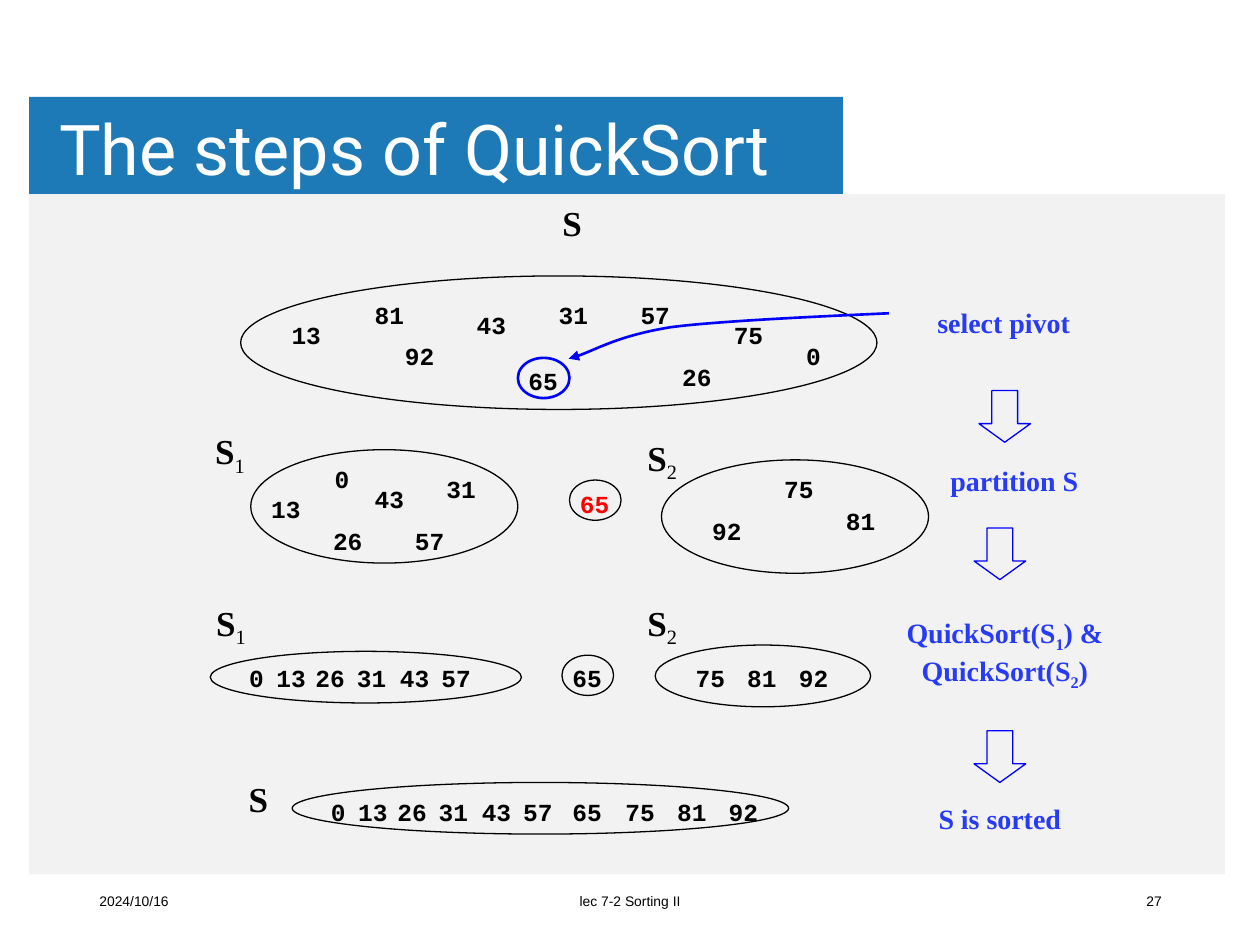
"""Build the slide on the steps of QuickSort."""
from lxml import etree
from pptx import Presentation
from pptx import util as u
from pptx.dml.color import RGBColor
from pptx.enum import shapes, text
from pptx.oxml import ns

COLORS = {"banner": "1E7AB6", "panel": "F2F2F2", "white": "FFFFFF", "ink": "000000",
          "pivot": "FF0000", "step": "263AF8", "pointer": "0000FF"}

TITLE = "The steps of QuickSort"
FOOTERS = [("2024/10/16", 49.7, 162, "LEFT"), ("lec 7-2 Sorting II", 238.3, 243.4, "CENTER"),
           ("27", 509, 162, "RIGHT")]

UNSORTED = [("13", 175, 191.5), ("81", 222.5, 180), ("92", 239.8, 203), ("43", 280.8, 185.8),
            ("65", 310.3, 217.4), ("31", 327.6, 180), ("57", 374.4, 180), ("26", 398.2, 215.3),
            ("75", 427.7, 191.5), ("0", 464.8, 203)]
PARTITIONED = [("13", 163.4, 290.9), ("43", 222.5, 285.1), ("31", 263.5, 279.4),
               ("57", 245.5, 308.9), ("26", 198.7, 308.9), ("0", 195.5, 273.6),
               ("75", 456.5, 279.4), ("81", 491.8, 297.4), ("92", 415.4, 303.1)]
PARTITION_PIVOT = ("65", 339.8, 288)

LOW = [("0", 0), ("13", 19.8), ("26", 42.2), ("31", 65.8), ("43", 90.4), ("57", 114.1)]
PIVOT = [("65", 0)]
HIGH = [("75", 0), ("81", 29.5), ("92", 59)]
SORTED_RUNS = [(LOW, 146.5, 387.4), (PIVOT, 335.5, 387.4), (HIGH, 405.9, 387.4),
               (LOW, 193.3, 463.7), (PIVOT, 335.5, 463.7), (HIGH, 365.8, 463.7)]

SETS = [(137.5, 157.7, 363.6, 76.3), (143.3, 257, 152.6, 64.8), (378, 262.8, 152.6, 64.8),
        (120.2, 372.2, 177.8, 29.5), (374.4, 368.6, 123.1, 35.3), (167, 447.1, 283.7, 29.5)]
PIVOT_SIZE = (29.5, 23)
PIVOT_RINGS = [(325.4, 274.3), (321.1, 374.4)]
CHOSEN_RING = (295.9, 204.5)

SET_NAMES = [("S", 326.9, 127.4), ("S_1", 131.4, 259.2), ("S_2", 378.4, 262.8),
             ("S_1", 132, 357.1), ("S_2", 378.4, 357.1), ("S", 147.6, 456.5)]
STEPS = [("select pivot", 573.5, 184), ("partition S", 579.6, 274.7),
         ("QuickSort(S_1_) &\nQuickSort(S_2_)", 574.2, 373.7), ("S is sorted", 571.3, 467.6)]
STEP_ARROWS = [(559.4, 223.2), (556.6, 301.7), (556.6, 417.6)]
POINTER = [(507.6, 179.3), (486.7, 180), (413.3, 182.9), (383, 187.2),
           (352.8, 191.5), (337, 201.6), (324.7, 205.2)]

deck = Presentation()
deck.slide_width, deck.slide_height = u.Pt(720), u.Pt(540)
slide = deck.slides.add_slide(deck.slide_layouts[6])


def rgb(name):
    return RGBColor.from_string(COLORS[name])


def style(part, fill=None, line=None, weight=0.75):
    part.shadow.inherit = False
    if fill:
        part.fill.solid()
        part.fill.fore_color.rgb = rgb(fill)
    else:
        part.fill.background()
    if line:
        part.line.color.rgb = rgb(line)
        part.line.width = u.Pt(weight)
    else:
        part.line.fill.background()


def add_part(preset, left, top, width, height, **look):
    part = slide.shapes.add_shape(preset, *map(u.Pt, (left, top, width, height)))
    style(part, **look)
    return part


def write(words, left, top, width, height, *, size, font, color="ink", bold=False,
          bold_sub=False, align="CENTER", spacing=None, insets=(7.2, 3.6), grow=False):
    box = slide.shapes.add_textbox(*map(u.Pt, (left, top, width, height)))
    frame = box.text_frame
    frame.word_wrap = True
    frame.vertical_anchor = text.MSO_ANCHOR.MIDDLE
    if grow:
        frame.auto_size = text.MSO_AUTO_SIZE.SHAPE_TO_FIT_TEXT
    frame.margin_left = frame.margin_right = u.Pt(insets[0])
    frame.margin_top = frame.margin_bottom = u.Pt(insets[1])
    for number, line in enumerate(words.split("\n")):
        paragraph = frame.add_paragraph() if number else frame.paragraphs[0]
        paragraph.alignment = getattr(text.PP_ALIGN, align)
        if spacing:
            paragraph.line_spacing = spacing
        for index, piece in enumerate(line.split("_")):
            run = paragraph.add_run()
            run.text = piece
            run.font.size, run.font.name = u.Pt(size), font
            run.font.color.rgb = rgb(color)
            run.font.bold = bold
            if index % 2:
                run.font.bold = bold_sub
                run.font._element.set("baseline", "-25000")


def write_centred(words, x, y, width, height, **look):
    write(words, x - width / 2, y - height / 2, width, height, bold=True, grow=True, **look)


def write_number(digits, x, y, color="ink"):
    write_centred(digits, x, y, 18.7 + 9.4 * len(digits), 24.5,
                  size=14, font="Courier New", color=color)


def draw_pointer(points):
    builder = slide.shapes.build_freeform(*points[0], scale=float(u.Pt(1)))
    builder.add_line_segments(points[1:], close=False)
    curve = builder.convert_to_shape()
    style(curve, line="pointer", weight=1.5)
    segments = list(curve._element.iter(ns.qn("a:lnTo")))
    for start in range(0, len(segments), 3):
        outline = segments[start].getparent()
        bezier = etree.SubElement(outline, ns.qn("a:cubicBezTo"))
        for segment in segments[start:start + 3]:
            bezier.append(segment[0])
            outline.remove(segment)
    etree.SubElement(curve.line._get_or_add_ln(), ns.qn("a:tailEnd"), type="triangle")


def main():
    preset = shapes.MSO_SHAPE
    add_part(preset.RECTANGLE, 16.6, 55.4, 465.1, 120.2, fill="banner")
    add_part(preset.RECTANGLE, 16.6, 110.9, 683.3, 388.8, fill="panel")
    write(TITLE, 28.8, 59, 540.7, 56.9, size=40, font="Roboto", color="white",
          align="LEFT", spacing=0.9, insets=(5, 2.9))
    for words, left, width, align in FOOTERS:
        write(words, left, 500.4, width, 28.8, size=7.9, font="Arial", align=align)

    for place in SETS:
        add_part(preset.OVAL, *place, line="ink")
    for place in PIVOT_RINGS:
        add_part(preset.OVAL, *place, *PIVOT_SIZE, line="ink")
    add_part(preset.OVAL, *CHOSEN_RING, *PIVOT_SIZE, line="pointer", weight=1.5)

    for number in UNSORTED + PARTITIONED:
        write_number(*number)
    write_number(*PARTITION_PIVOT, color="pivot")
    for numbers, start, y in SORTED_RUNS:
        for digits, offset in numbers:
            write_number(digits, start + offset, y)

    for name, x, y in SET_NAMES:
        write_centred(name, x, y, 39.6 if "_" in name else 31.7, 31.7,
                      size=20, font="Times New Roman")
    for step, x, y in STEPS:
        write_centred(step, x, y, 133.2, 46.1 if "\n" in step else 26.6, size=16,
                      font="Times New Roman", color="step", bold_sub=True)

    draw_pointer(POINTER)
    for place in STEP_ARROWS:
        arrow = add_part(preset.DOWN_ARROW, *place, 29.5, 29.5, line="pointer")
        arrow.adjustments[0], arrow.adjustments[1] = 0.5, 0.36
    deck.save("out.pptx")


if __name__ == "__main__":
    main()
